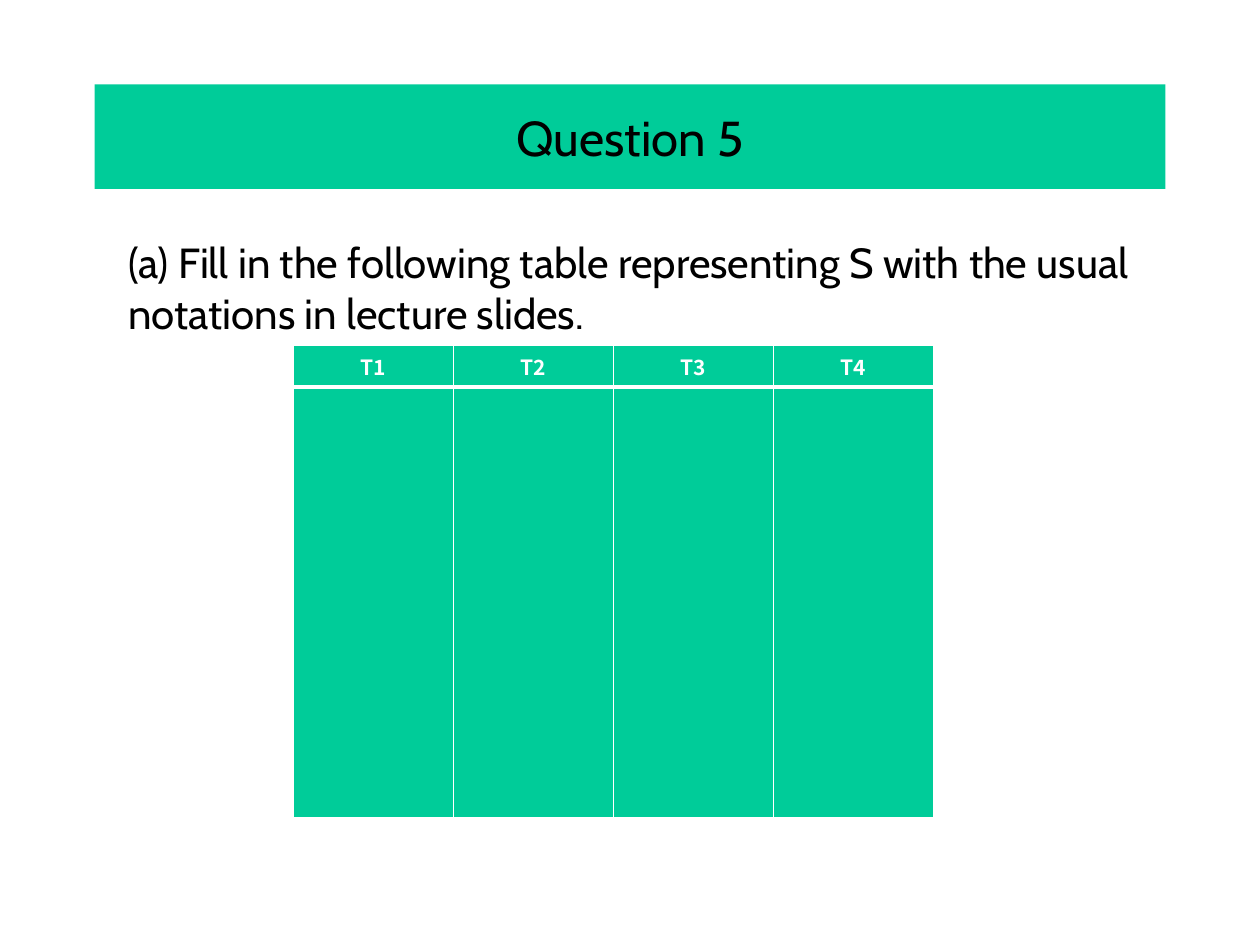
from lxml import etree
from pptx import Presentation, util as u
from pptx.dml.color import RGBColor
from pptx.enum import text as t
from pptx.oxml import ns

# Content
TITLE = "Question 5"
QUESTION = ("(a) Fill in the following table representing S "
            "with the usual notations in lecture slides.")
TRANSACTIONS = ["T1", "T2", "T3", "T4"]

# Look
GREEN, BLACK, WHITE = "00CC99", "000000", "FFFFFF"
BODY_FONT, TABLE_FONT = "Cabin", "Noto Sans CJK TC"

# Layout in inches: left, top, width, height
TITLE_BOX = (0.75, 0.67, 8.5, 0.83)
QUESTION_BOX = (0.92, 1.83, 8.33, 0.91)
TABLE_LEFT, TABLE_TOP, COLUMN_WIDTH = 2.33, 2.74, 1.27
ROW_HEIGHTS = [0.33, 3.42]


def inches(*lengths):
    return [u.Inches(length) for length in lengths]


def paint(fill, color):
    fill.solid()
    fill.fore_color.rgb = RGBColor.from_string(color)


def write(frame, words, size=24, font=BODY_FONT, color=BLACK, bold=False,
          align=t.PP_ALIGN.LEFT):
    paragraph = frame.paragraphs[0]
    paragraph.alignment = align
    run = paragraph.add_run()
    run.text = words
    run.font.size, run.font.name, run.font.bold = u.Pt(size), font, bold
    run.font.color.rgb = RGBColor.from_string(color)


def add_borders(cell, color, **points):
    """Draw cell sides, given in the order L, R, T, B."""
    properties = cell._tc.get_or_add_tcPr()
    for side, width in points.items():
        line = etree.SubElement(properties, ns.qn(f"a:ln{side}"),
                                w=str(u.Pt(width)))
        solid = etree.SubElement(line, ns.qn("a:solidFill"))
        etree.SubElement(solid, ns.qn("a:srgbClr"), val=color)


deck = Presentation()
deck.slide_width, deck.slide_height = inches(10, 7.5)
slide = deck.slides.add_slide(deck.slide_layouts[5])

# Title band
title = slide.shapes.title
title.left, title.top, title.width, title.height = inches(*TITLE_BOX)
paint(title.fill, GREEN)
title.text_frame.vertical_anchor = t.MSO_ANCHOR.MIDDLE
write(title.text_frame, TITLE, size=28, align=t.PP_ALIGN.CENTER)

# Question
question = slide.shapes.add_textbox(*inches(*QUESTION_BOX)).text_frame
question.word_wrap = True
question.auto_size = t.MSO_AUTO_SIZE.SHAPE_TO_FIT_TEXT
write(question, QUESTION)

# Schedule table: a header row above one tall empty row
schedule = slide.shapes.add_table(
    len(ROW_HEIGHTS), len(TRANSACTIONS),
    *inches(TABLE_LEFT, TABLE_TOP, COLUMN_WIDTH * len(TRANSACTIONS),
            sum(ROW_HEIGHTS))).table
for row, height in zip(schedule.rows, ROW_HEIGHTS):
    row.height = u.Inches(height)

for column, transaction in enumerate(TRANSACTIONS):
    schedule.columns[column].width = u.Inches(COLUMN_WIDTH)
    header, blank = schedule.cell(0, column), schedule.cell(1, column)
    add_borders(header, WHITE, L=1, R=1, T=1, B=3)
    add_borders(blank, WHITE, L=1, R=1, T=3, B=1)
    for cell in (header, blank):
        paint(cell.fill, GREEN)
    header.vertical_anchor = t.MSO_ANCHOR.MIDDLE
    header.margin_left = header.margin_right = u.Inches(0.07)
    header.margin_top = header.margin_bottom = 0
    write(header.text_frame, transaction, size=12, font=TABLE_FONT,
          color=WHITE, bold=True, align=t.PP_ALIGN.CENTER)

deck.save("out.pptx")
